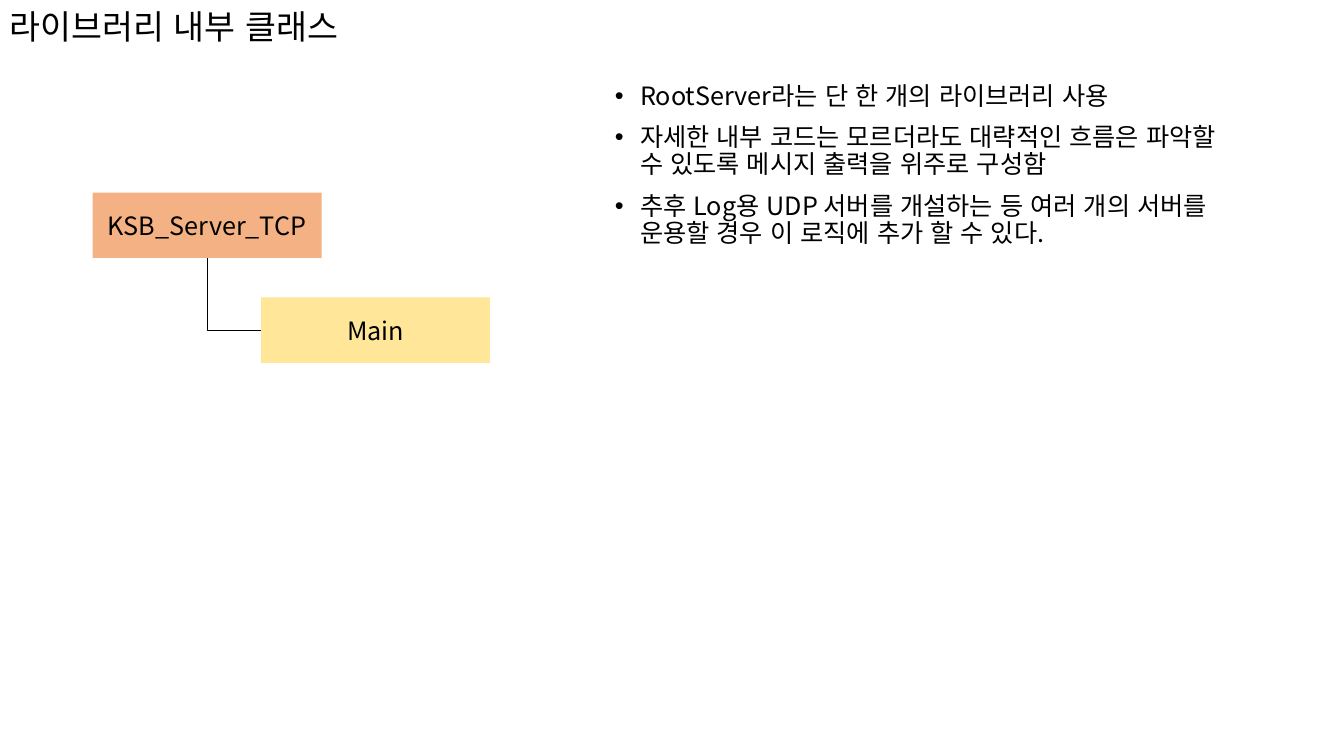
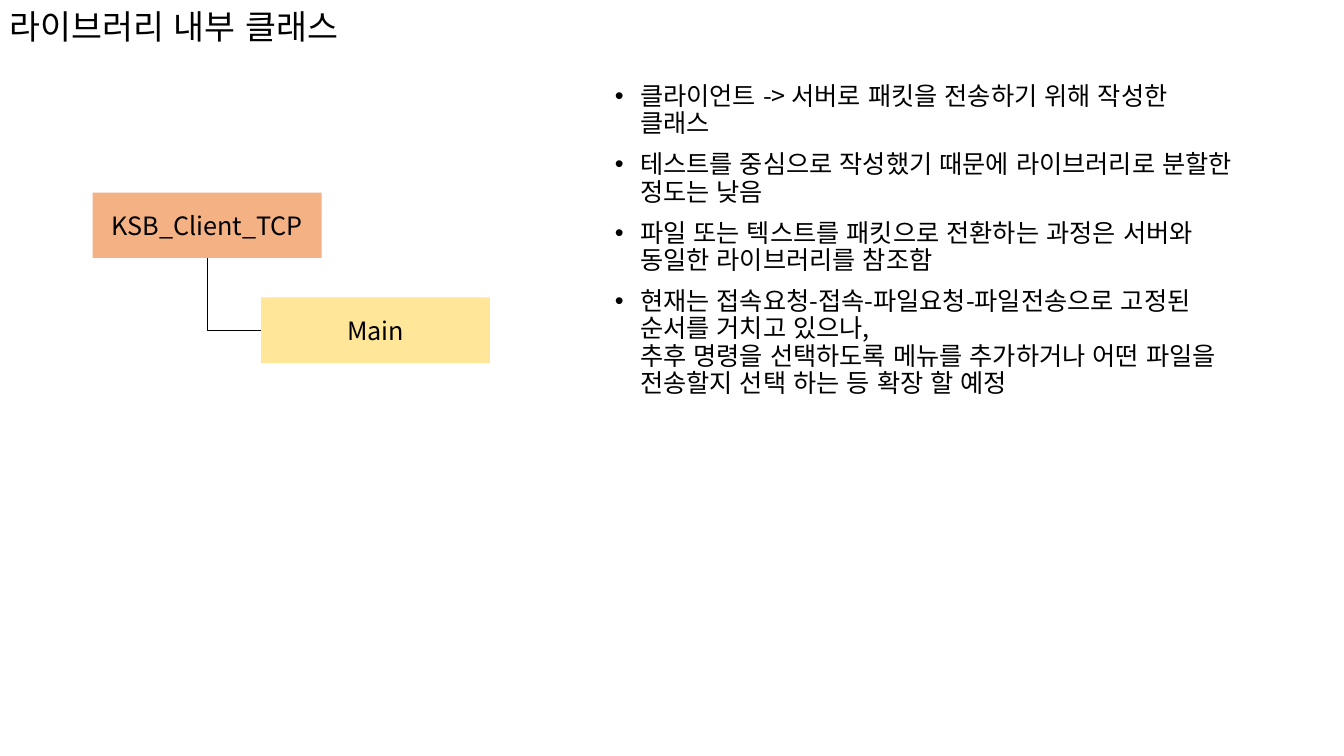
from lxml import etree
from pptx import Presentation
from pptx.dml.color import RGBColor
from pptx.enum.lang import MSO_LANGUAGE_ID
from pptx.enum.shapes import MSO_CONNECTOR, MSO_SHAPE
from pptx.enum.text import MSO_ANCHOR, PP_ALIGN
from pptx.oxml.ns import qn
from pptx.util import Inches, Pt

RECTANGLE = MSO_SHAPE.RECTANGLE
ELBOW = MSO_CONNECTOR.ELBOW
MIDDLE = MSO_ANCHOR.MIDDLE
TOP = MSO_ANCHOR.TOP
CENTER = PP_ALIGN.CENTER
LEFT = PP_ALIGN.LEFT
KOREAN = MSO_LANGUAGE_ID.KOREAN
BOTTOM_SIDE, LEFT_SIDE = 2, 1

COLORS = {"text": "000000", "library": "F4B183", "class": "FFE699"}
FONT = "Noto Sans CJK KR"
TITLE = "라이브러리 내부 클래스"
BOX_WIDTH, BOX_HEIGHT = 2.27, 0.65

SLIDES = [
    ("KSB_Server_TCP", [
        "RootServer라는 단 한 개의 라이브러리 사용",
        "자세한 내부 코드는 모르더라도 대략적인 흐름은 파악할 수 있도록 메시지 출력을 위주로 구성함",
        "추후 Log용 UDP 서버를 개설하는 등 여러 개의 서버를 운용할 경우 이 로직에 추가 할 수 있다.",
    ]),
    ("KSB_Client_TCP", [
        "클라이언트 -> 서버로 패킷을 전송하기 위해 작성한 클래스",
        "테스트를 중심으로 작성했기 때문에 라이브러리로 분할한 정도는 낮음",
        "파일 또는 텍스트를 패킷으로 전환하는 과정은 서버와 동일한 라이브러리를 참조함",
        "현재는 접속요청-접속-파일요청-파일전송으로 고정된 순서를 거치고 있으나,\n"
        "추후 명령을 선택하도록 메뉴를 추가하거나 어떤 파일을 전송할지 선택 하는 등 확장 할 예정",
    ]),
]


class Deck:
    def __init__(self):
        self.presentation = Presentation()
        self.presentation.slide_width = Inches(13.33)
        self.presentation.slide_height = Inches(7.5)
        self.slide = None

    def color(self, name):
        return RGBColor.from_string(COLORS[name])

    def add_slide(self):
        self.slide = self.presentation.slides.add_slide(self.presentation.slide_layouts[6])

    def set_text(self, paragraph, text, size, alignment=LEFT):
        paragraph.text = text
        paragraph.alignment = alignment
        for run in paragraph.runs:
            run.font.size = Pt(size)
            run.font.name = FONT
            run.font.language_id = KOREAN
            run.font.color.rgb = self.color("text")
            east_asian = etree.SubElement(run.font._element, qn("a:ea"))
            east_asian.set("typeface", FONT)

    def text_frame(self, left, top, width, height, anchor):
        shape = self.slide.shapes.add_textbox(
            Inches(left), Inches(top), Inches(width), Inches(height))
        shape.text_frame.word_wrap = True
        shape.text_frame.vertical_anchor = anchor
        return shape.text_frame

    def title(self, text):
        paragraph = self.text_frame(0, 0, 3.86, 0.57, MIDDLE).paragraphs[0]
        self.set_text(paragraph, text, 24)
        paragraph.line_spacing = 0.9

    def bullets(self, items):
        frame = self.text_frame(6, 0.78, 6.42, 5.97, TOP)
        for index, item in enumerate(items):
            paragraph = frame.add_paragraph() if index else frame.paragraphs[0]
            self.set_text(paragraph, item, 18)
            paragraph.line_spacing = 0.9
            paragraph.space_before = Pt(10)
            properties = paragraph._p.get_or_add_pPr()
            properties.set("marL", str(Inches(0.25)))
            properties.set("indent", str(-Inches(0.25)))
            etree.SubElement(properties, qn("a:buFont")).set("typeface", "Arial")
            etree.SubElement(properties, qn("a:buChar")).set("char", "•")

    def box(self, left, top, text, fill):
        shape = self.slide.shapes.add_shape(
            RECTANGLE, Inches(left), Inches(top), Inches(BOX_WIDTH), Inches(BOX_HEIGHT))
        shape.shadow.inherit = False
        shape.fill.solid()
        shape.fill.fore_color.rgb = self.color(fill)
        shape.line.fill.background()
        shape.text_frame.vertical_anchor = MIDDLE
        self.set_text(shape.text_frame.paragraphs[0], text, 18, CENTER)
        return shape

    def branch(self, parent, child):
        start_x, start_y = parent.left + parent.width // 2, parent.top + parent.height
        end_x, end_y = child.left, child.top + child.height // 2
        across, down = end_x - start_x, end_y - start_y
        connector = self.slide.shapes.add_connector(ELBOW, start_x, start_y, end_x, end_y)
        connector.begin_connect(parent, BOTTOM_SIDE)
        connector.end_connect(child, LEFT_SIDE)
        connector.left = start_x + (across - down) // 2
        connector.top = start_y + (down - across) // 2
        connector.width, connector.height = down, across
        connector.line.color.rgb = self.color("text")
        connector.line.width = Pt(0.5)
        properties = connector._element.spPr
        transform = properties.find(qn("a:xfrm"))
        transform.set("rot", str(270 * 60000))
        transform.set("flipH", "1")
        properties.find(qn("a:prstGeom")).set("prst", "bentConnector2")
        etree.SubElement(properties, qn("a:effectLst"))


def main():
    deck = Deck()
    for library, notes in SLIDES:
        deck.add_slide()
        deck.title(TITLE)
        parent = deck.box(0.92, 1.91, library, "library")
        child = deck.box(2.59, 2.95, "Main", "class")
        deck.branch(parent, child)
        deck.bullets(notes)
    deck.presentation.save("out.pptx")


if __name__ == "__main__":
    main()
